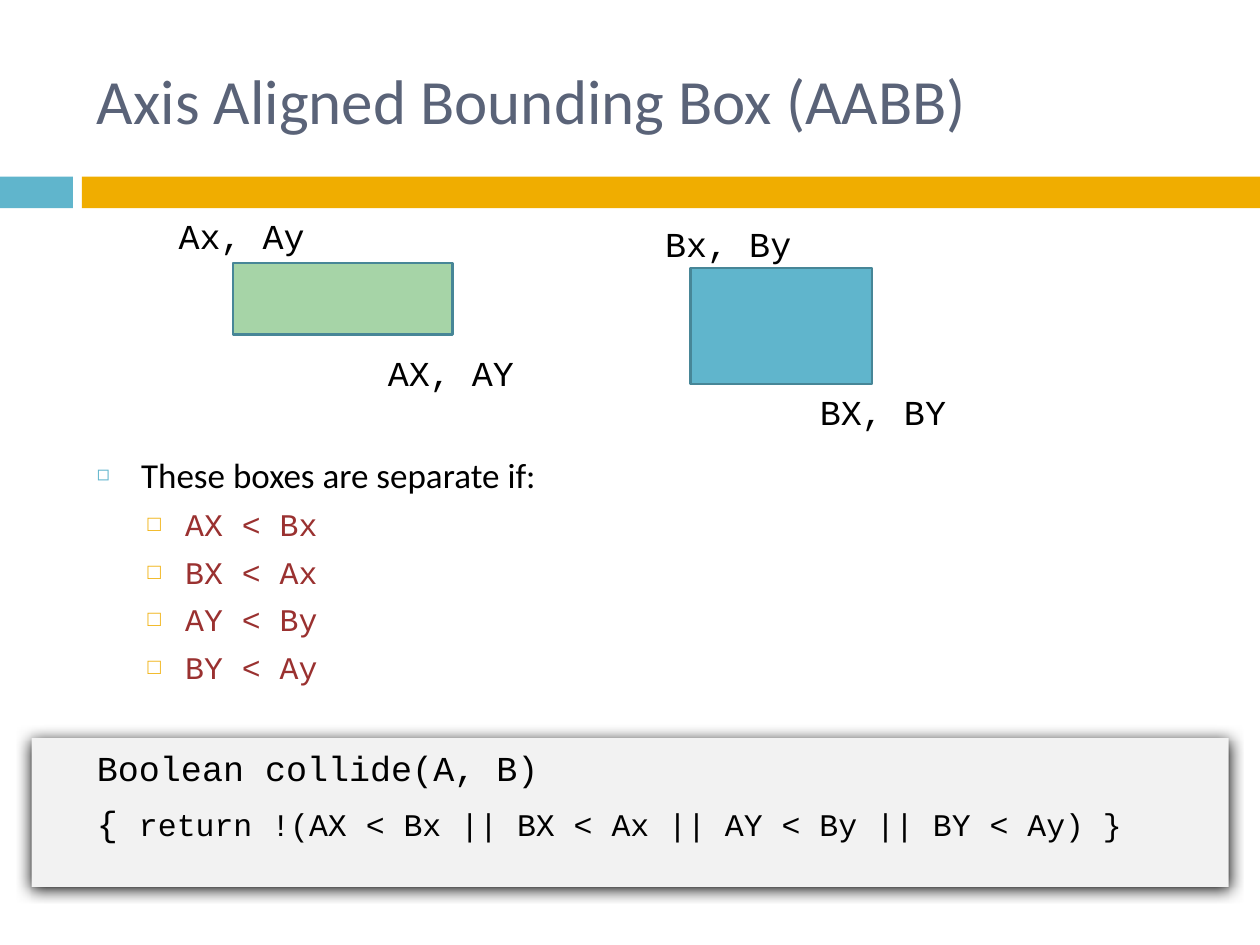
from dataclasses import dataclass

from lxml import etree
from pptx import Presentation
from pptx.dml.color import RGBColor
from pptx.enum import shapes, text
from pptx.oxml import ns
from pptx.util import Cm, Pt


@dataclass(frozen=True)
class Theme:
    sans: str = "Calibri"
    mono: str = "Courier New"
    title_size: int = 36
    main_size: int = 20
    small_size: int = 18
    ink: str = "000000"
    title: str = "5A6378"
    condition: str = "9A3130"
    blue: str = "60B5CC"
    gold: str = "F0AD00"
    green: str = "A6D4A7"
    outline: str = "478697"
    panel: str = "F2F2F2"


THEME = Theme()

TITLE = "Axis Aligned Bounding Box (AABB)"
TITLE_AREA = (1.7, 0.64, 22.66, 2.74)
BODY_AREA = (1.7, 9.02, 22.66, 5.84)
PANEL_AREA = (0.64, 14.88, 24.13, 3)
BARS = [
    ((0, 3.56, 1.47, 0.64), THEME.blue),
    ((1.65, 3.56, 23.75, 0.64), THEME.gold),
]
BOUNDING_BOXES = [
    ((4.7, 5.3, 4.42, 1.44), THEME.green),
    ((13.92, 5.4, 3.66, 2.34), THEME.blue),
]
CORNER_SIZE = (3.07, 1.12)
CORNERS = [
    ("Ax, Ay", 3.35, 4.19),
    ("AX, AY", 7.57, 6.96),
    ("Bx, By", 13.16, 4.37),
    ("BX, BY", 16.28, 7.75),
]

# Indents in centimetres, space before in points, bullet as (sign, colour, percent)
STYLES = {
    "lead": dict(level=0, left=0.89, hanging=0.89, before=7, font=THEME.sans,
                 size=THEME.main_size, colour=THEME.ink, bullet=("◻", THEME.blue, 60)),
    "condition": dict(level=1, left=1.78, hanging=0.76, before=5.5, font=THEME.mono,
                      size=THEME.small_size, colour=THEME.condition,
                      bullet=("□", THEME.gold, 70)),
    "code": dict(level=0, left=0, hanging=0, before=7, font=THEME.mono,
                 size=THEME.main_size, colour=THEME.ink, bullet=None),
}
STYLES["code start"] = {**STYLES["code"], "before": 35}

LINES = [
    ("lead", "These boxes are separate if:"),
    ("condition", "AX < Bx"),
    ("condition", "BX < Ax"),
    ("condition", "AY < By"),
    ("condition", "BY < Ay"),
    ("code start", "Boolean collide(A, B)"),
    ("code", "{ "),
]
RETURN_CODE = "return !(AX < Bx || BX < Ax || AY < By || BY < Ay) }"


def add_xml(parent, tag, **attributes):
    return etree.SubElement(parent, ns.qn(tag), attributes)


def format_span(span, font, size, colour):
    span.font.name = font
    span.font.size = Pt(size)
    span.font.color.rgb = RGBColor.from_string(colour)


def place(shape, area):
    shape.left, shape.top, shape.width, shape.height = map(Cm, area)


def add_rectangle(page, area, fill, line=None):
    box = page.shapes.add_shape(shapes.MSO_SHAPE.RECTANGLE, *map(Cm, area))
    box.shadow.inherit = False
    box.fill.solid()
    box.fill.fore_color.rgb = RGBColor.from_string(fill)
    if line:
        box.line.color.rgb = RGBColor.from_string(line)
        box.line.width = Pt(1.5)
    else:
        box.line.fill.background()
    return box


def add_panel(page):
    """Add the shadowed code panel behind the placeholders."""
    panel = add_rectangle(page, PANEL_AREA, THEME.panel)
    effects = panel._element.spPr.find(ns.qn("a:effectLst"))
    shadow = add_xml(effects, "a:outerShdw", blurRad=str(Pt(8.5)), dist=str(Pt(1)),
                     dir="5400000", rotWithShape="0")
    add_xml(shadow, "a:srgbClr", val=THEME.ink)
    panel._element.getparent().insert(2, panel._element)


def add_corner(page, label, left, top):
    box = page.shapes.add_textbox(*map(Cm, (left, top, *CORNER_SIZE)))
    box.text_frame.word_wrap = False
    box.text_frame.auto_size = text.MSO_AUTO_SIZE.SHAPE_TO_FIT_TEXT
    box.text_frame.text = label
    format_span(box.text_frame.paragraphs[0].runs[0], THEME.mono,
                THEME.main_size, THEME.ink)


def format_para(para, style):
    para.level = style["level"]
    para.space_before = Pt(style["before"])
    properties = para._p.get_or_add_pPr()
    properties.set("marL", str(Cm(style["left"])))
    properties.set("indent", str(-Cm(style["hanging"])))
    if style["bullet"]:
        sign, colour, percent = style["bullet"]
        add_xml(add_xml(properties, "a:buClr"), "a:srgbClr", val=colour)
        add_xml(properties, "a:buSzPct", val=str(percent * 1000))
        add_xml(properties, "a:buChar", char=sign)
    else:
        add_xml(properties, "a:buNone")
    for span in para.runs:
        format_span(span, style["font"], style["size"], style["colour"])


def fill_title(title):
    place(title, TITLE_AREA)
    frame = title.text_frame
    frame.auto_size = text.MSO_AUTO_SIZE.NONE
    frame.vertical_anchor = text.MSO_ANCHOR.MIDDLE
    frame.text = TITLE
    para = frame.paragraphs[0]
    para.alignment = text.PP_ALIGN.LEFT
    format_span(para.runs[0], THEME.sans, THEME.title_size, THEME.title)


def fill_body(body):
    place(body, BODY_AREA)
    frame = body.text_frame
    frame.auto_size = text.MSO_AUTO_SIZE.NONE
    frame.text = "\n".join(line for _, line in LINES)
    for para, (style, _) in zip(frame.paragraphs, LINES):
        format_para(para, STYLES[style])
    span = frame.paragraphs[-1].add_run()
    span.text = RETURN_CODE
    format_span(span, THEME.mono, THEME.small_size, THEME.ink)


def main():
    deck = Presentation()
    deck.slide_width, deck.slide_height = Cm(25.4), Cm(19.05)
    page = deck.slides.add_slide(deck.slide_layouts[1])
    fill_title(page.shapes.title)
    fill_body(page.placeholders[1])
    add_panel(page)
    for area, fill in BARS:
        add_rectangle(page, area, fill)
    for area, fill in BOUNDING_BOXES:
        add_rectangle(page, area, fill, THEME.outline)
    for corner in CORNERS:
        add_corner(page, *corner)
    deck.save("out.pptx")


if __name__ == "__main__":
    main()
